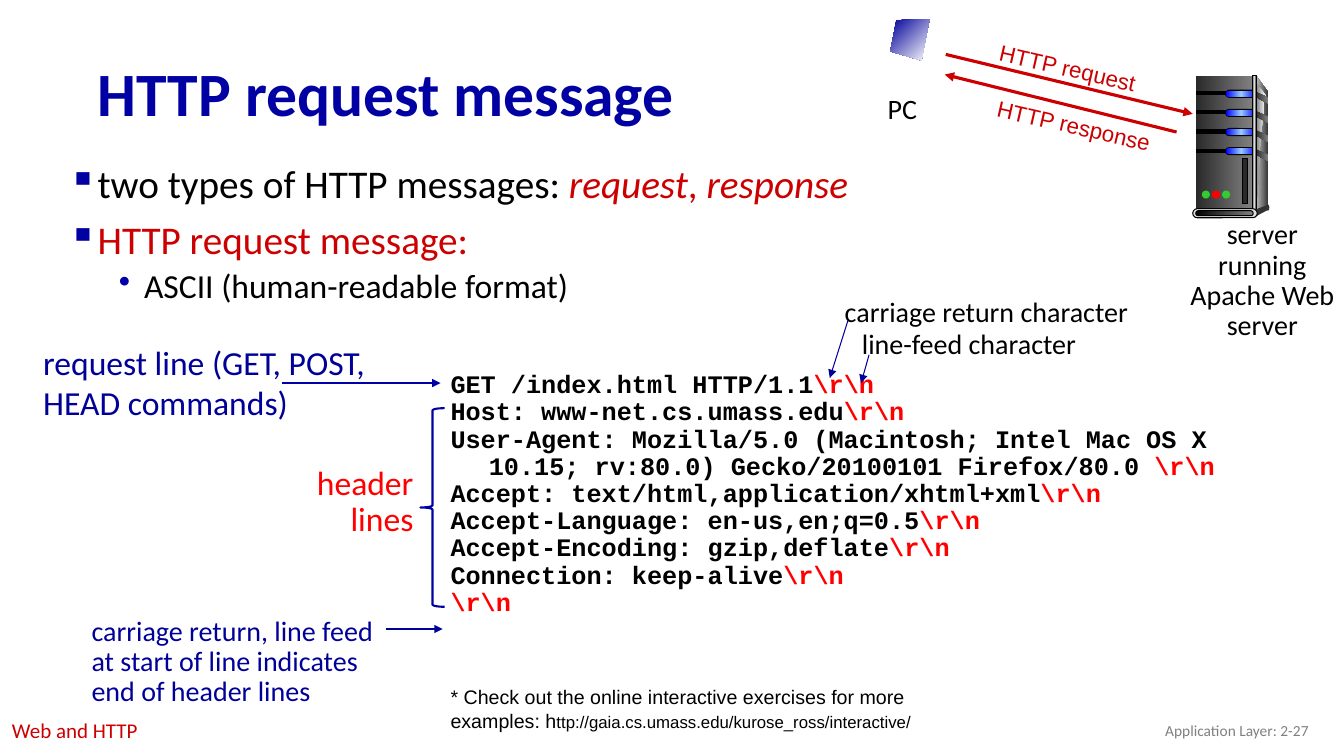
from dataclasses import dataclass

from lxml import etree
from pptx import Presentation
from pptx import util as u
from pptx.dml.color import RGBColor
from pptx.enum import shapes, text
from pptx.oxml.ns import qn


@dataclass(frozen=True)
class Theme:
    sans: str = "Calibri"
    plain: str = "Arial"
    mono: str = "Courier New"
    navy: str = "0000A3"
    blue: str = "000099"
    bullet: str = "0000A8"
    crimson: str = "CC0000"
    red: str = "FF0000"
    black: str = "000000"
    gray: str = "808080"
    dark: str = "292929"
    edge: str = "333333"
    pale: str = "DDDDDD"
    green: str = "33CC33"
    title: int = 44
    body: int = 28
    label: int = 24
    small: int = 20
    code: int = 18
    arrow: int = 16
    note: int = 14


T = Theme()
GRID = u.Inches(1)  # one column or row; the slide is 13.33 columns by 7.5 rows
COLUMNS, ROWS = 13.33, 7.5

# ---- Content: a paragraph is a string or a list of (text, run format) ----
TITLE = "HTTP request message"
RED_ITALIC = {"color": T.crimson, "italic": True}
BULLETS = [  # (level, paragraph)
    (0, [("two types of HTTP messages: ", {}), ("request", RED_ITALIC),
         (", ", {"color": T.crimson}), ("response", RED_ITALIC)]),
    (0, [("HTTP request message:", {"color": T.crimson})]),
    (1, "ASCII (human-readable format)"),
]
LEVELS = [  # size, left margin, hanging indent, space before, bullet, bullet colour
    (T.body, 0.26, 0.26, 10, "▪", T.navy),
    (T.label, 0.75, 0.25, 5, "•", T.bullet),
]
LINE_END = r"\r\n"
REQUEST = [
    "GET /index.html HTTP/1.1",
    "Host: www-net.cs.umass.edu",
    "User-Agent: Mozilla/5.0 (Macintosh; Intel Mac OS X 10.15; rv:80.0) "
    "Gecko/20100101 Firefox/80.0 ",
    "Accept: text/html,application/xhtml+xml",
    "Accept-Language: en-us,en;q=0.5",
    "Accept-Encoding: gzip,deflate",
    "Connection: keep-alive",
    "",
]
FOOTNOTE = [("* Check out the online interactive exercises for more examples: h", {}),
            ("ttp://gaia.cs.umass.edu/kurose_ross/interactive/", {"size": 12})]

LABELS = [  # place, paragraphs, size, colour, options
    ((3.03, 4.58, 1.17, 0.83), ["header", "lines"], T.label, T.red,
     dict(align="RIGHT", spacing=0.9, wrap=False)),
    ((8.28, 2.87, 3.04, 0.44), ["carriage return character"], T.small, T.black, dict(wrap=False)),
    ((8.45, 3.19, 2.35, 0.44), ["line-feed character"], T.small, T.black, dict(wrap=False)),
    ((0.33, 3.34, 3.46, 0.91), ["request line (GET, POST,", "HEAD commands)"],
     T.label, T.blue, {}),
    ((0.81, 6.07, 3.03, 1.01),
     ["carriage return, line feed at start of line indicates end of header lines"],
     T.small, T.blue, dict(spacing=0.9)),
    ((4.37, 6.75, 4.93, 0.57), [FOOTNOTE], T.note, T.black, dict(face=T.plain)),
    ((10.08, 7.05, 3, 0.4), ["Application Layer: 2-27"], 11, T.gray,
     dict(align="RIGHT", anchor="MIDDLE")),
    ((0.02, 7.07, 3.72, 0.35), ["Web and HTTP"], 15, T.crimson, {}),
    ((9.8, 0.49, 1.58, 0.37), ["HTTP request"], T.arrow, T.crimson,
     dict(face=T.plain, align="CENTER", wrap=False, turn=12.9)),
    ((9.77, 1.06, 1.76, 0.37), ["HTTP response"], T.arrow, T.crimson,
     dict(face=T.plain, align="CENTER", wrap=False, turn=12.9)),
    ((11.71, 2.14, 1.62, 1.01), ["server running", "Apache Web", "server"], T.small, T.black,
     dict(align="CENTER", spacing=0.9, wrap=False, inset=0)),
    ((8.09, 0.9, 1.72, 0.4), ["PC"], T.small, T.black, dict(align="CENTER", spacing=0.9)),
]
ARROWS = [  # start, end, colour, width
    ((8.41, 3.18), (8.23, 3.75), T.blue, 0.75),
    ((8.62, 3.52), (8.54, 3.8), T.blue, 0.75),
    ((2.8, 3.8), (4.37, 3.8), T.bullet, 1.5),
    ((3.83, 6.24), (4.39, 6.24), T.blue, 1.5),
    ((9.38, 0.54), (11.83, 1.13), T.crimson, 2.25),
    ((11.67, 1.31), (9.37, 0.74), T.crimson, 2.25),
]

deck = Presentation()
deck.slide_width, deck.slide_height = int(COLUMNS * GRID), int(ROWS * GRID)
page = deck.slides.add_slide(deck.slide_layouts[5])


def emu(*lengths):
    return [round(length * GRID) for length in lengths]


def style(font, face=None, size=None, color=None, bold=None, italic=None):
    if face:
        font.name = face
    if size:
        font.size = u.Pt(size)
    if color:
        font.color.rgb = RGBColor.from_string(color)
    font.bold, font.italic = bold, italic


def write(para, content, **font):
    style(para.font, **font)
    for words, changes in [(content, {})] if isinstance(content, str) else content:
        span = para.add_run()
        span.text = words
        if changes:
            style(span.font, **changes)


def hang(para, margin, indent):
    props = para._p.get_or_add_pPr()
    props.set("marL", str(emu(margin)[0]))
    props.set("indent", str(emu(-indent)[0]))
    return props


def add_text(place, wrap=True, inset=0.1, anchor="TOP", turn=0):
    box = page.shapes.add_textbox(*emu(*place))
    box.rotation = turn
    frame = box.text_frame
    frame.word_wrap = wrap
    frame.margin_left = frame.margin_right = emu(inset)[0]
    frame.vertical_anchor = text.MSO_ANCHOR[anchor]
    return frame


def paragraphs(frame, items):
    for index, item in enumerate(items):
        yield (frame.add_paragraph() if index else frame.paragraphs[0]), item


def add_label(place, items, size, color, face=T.sans, align="LEFT", spacing=1.0, **frame):
    for para, item in paragraphs(add_text(place, **frame), items):
        para.alignment = text.PP_ALIGN[align]
        para.line_spacing = spacing
        write(para, item, face=face, size=size, color=color)


def paint(shape, fill=None, line=None, width=0.75, angle=0):
    """A string fills solid, a list fills with an even gradient."""
    shape.shadow.inherit = False
    if isinstance(fill, list):
        shape.fill.gradient()
        gradient = shape._element.spPr.find(qn("a:gradFill"))
        stops = gradient.find(qn("a:gsLst"))
        for stop in list(stops):
            stops.remove(stop)
        for index, color in enumerate(fill):
            stop = etree.SubElement(stops, qn("a:gs"), pos=str(100000 * index // (len(fill) - 1)))
            etree.SubElement(stop, qn("a:srgbClr"), val=color)
        gradient.find(qn("a:lin")).set("ang", str(angle * 60000))
    elif fill:
        shape.fill.solid()
        shape.fill.fore_color.rgb = RGBColor.from_string(fill)
    else:
        shape.fill.background()
    if line:
        shape.line.color.rgb = RGBColor.from_string(line)
        shape.line.width = u.Pt(width)
    else:
        shape.line.fill.background()


def add_part(kind, place, fill=None, line=None, width=0.75):
    part = page.shapes.add_shape(shapes.MSO_SHAPE[kind], *emu(*place))
    if kind == "ROUNDED_RECTANGLE":
        part.adjustments[0] = 0.5
    paint(part, fill, line, width)


def add_outline(points, fill, angle=0):
    start, *rest = [emu(*point) for point in points]
    builder = page.shapes.build_freeform(*start, scale=1.0)
    builder.add_line_segments(rest, close=True)
    paint(builder.convert_to_shape(), fill, angle=angle)


def add_arrow(start, end, color, width):
    arrow = page.shapes.add_connector(shapes.MSO_CONNECTOR.STRAIGHT, *emu(*start, *end))
    arrow.line.color.rgb = RGBColor.from_string(color)
    arrow.line.width = u.Pt(width)
    props = arrow._element.spPr
    etree.SubElement(props.find(qn("a:ln")), qn("a:tailEnd"), type="triangle")
    etree.SubElement(props, qn("a:effectLst"))


# ---- Title ----
title = page.shapes.title
title.left, title.top, title.width, title.height = emu(0.87, 0.47, 11.5, 0.98)
title.text_frame.vertical_anchor = text.MSO_ANCHOR.MIDDLE
title.text_frame.auto_size = text.MSO_AUTO_SIZE.NONE
heading = title.text_frame.paragraphs[0]
heading.alignment, heading.line_spacing = text.PP_ALIGN.LEFT, 0.9
write(heading, TITLE, face=T.sans, size=T.title, color=T.navy, bold=True)

# ---- Bullets ----
for para, (level, item) in paragraphs(add_text((0.58, 1.58, 12.75, 1.56)), BULLETS):
    size, margin, indent, before, mark, mark_color = LEVELS[level]
    para.level, para.line_spacing = level, 0.9
    if item is not BULLETS[0][1]:
        para.space_before = u.Pt(before)
    props = hang(para, margin, indent)
    tint = etree.SubElement(props, qn("a:buClr"))
    etree.SubElement(tint, qn("a:srgbClr"), val=mark_color)
    etree.SubElement(props, qn("a:buChar"), char=mark)
    write(para, item, face=T.sans, size=size, color=T.black)

# ---- Request listing with its brace ----
for para, line in paragraphs(add_text((4.37, 3.64, 8.66, 2.56)), REQUEST):
    hang(para, 0.38, 0.38)
    para.line_spacing = 0.9
    ending = (LINE_END, {"color": T.red, "bold": True})
    write(para, [(line, {}), ending] if line else [ending],
          face=T.mono, size=T.code, color=T.black, bold=True)
add_part("LEFT_BRACE", (4.17, 4.05, 0.24, 1.97), line=T.navy, width=1.5)

# ---- Labels and arrows ----
for place, items, size, color, options in LABELS:
    add_label(place, items, size, color, **options)
for arrow in ARROWS:
    add_arrow(*arrow)

# ---- PC screen ----
add_outline([(9.22, 0.19), (8.89, 0.2), (8.83, 0.51), (9.14, 0.6)], [T.blue, "FFFFFF"], angle=45)

# ---- Server: case, drive slots, side vents, base and lights ----
SHADE = [T.dark, T.gray]
add_outline([(12.46, 0.75), (12.58, 0.92), (12.58, 2.03), (12.43, 2.09)], [T.pale, T.edge])
add_part("RECTANGLE", (11.86, 0.75, 0.56, 1.34), SHADE)
add_outline([(12.46, 0.83), (12.55, 0.94), (12.5, 1.4), (12.48, 1.8), (12.46, 2.05)],
            [T.gray, "F8F8F8"])
for row in range(4):
    top = 0.91 + 0.19 * row
    add_part("RECTANGLE", (11.87, top, 0.32, 0.03), T.black, T.black)
    add_part("ROUNDED_RECTANGLE", (12.15, top - 0.02, 0.31, 0.08), T.black)
    add_part("ROUNDED_RECTANGLE", (12.16, top - 0.01, 0.3, 0.06), ["0000FF", "99CCFF", "0000FF"])
    add_outline([(12.45, top), (12.58, top + 0.06), (12.58, top + 0.12), (12.45, top + 0.05)],
                SHADE)
add_part("RECTANGLE", (12.42, 0.75, 0.04, 1.34), [T.edge, T.pale, T.edge], T.black)
add_part("OVAL", (12.56, 2.03, 0.03, 0.06), T.edge)
add_outline([(12.45, 2.08), (12.45, 2.15), (12.58, 2.08), (12.58, 2.03)], T.edge)
add_part("ROUNDED_RECTANGLE", (11.83, 2.07, 0.64, 0.09), T.pale, T.black)
add_part("ROUNDED_RECTANGLE", (11.86, 2.09, 0.57, 0.05), [T.black, T.gray], T.black)
for column, light in enumerate((T.green, T.red, T.green)):
    add_part("OVAL", (11.92 + 0.1 * column, 1.89, 0.08, 0.08), light)
add_part("RECTANGLE", (12.32, 1.57, 0.05, 0.45), T.dark, T.black)

deck.save("out.pptx")
